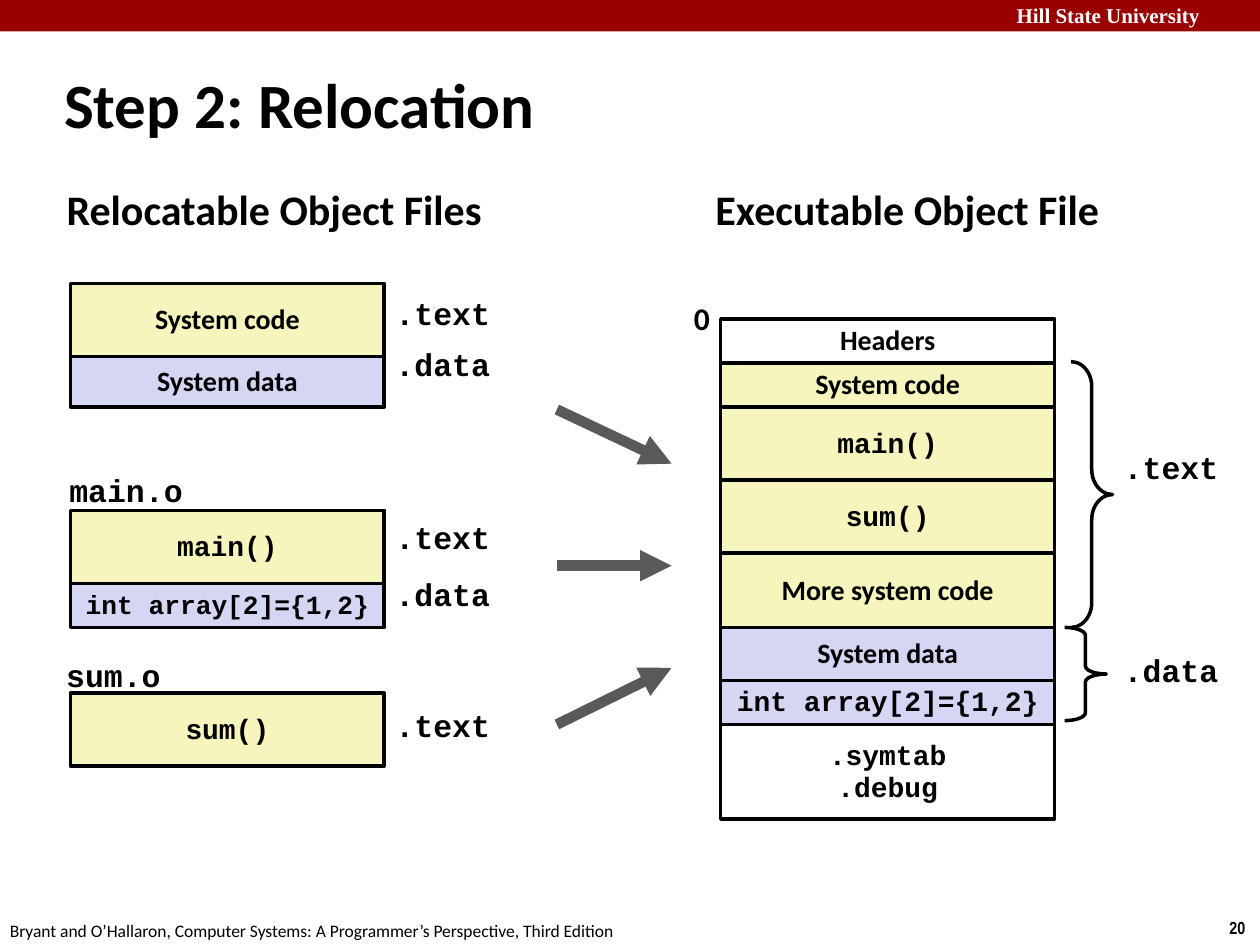
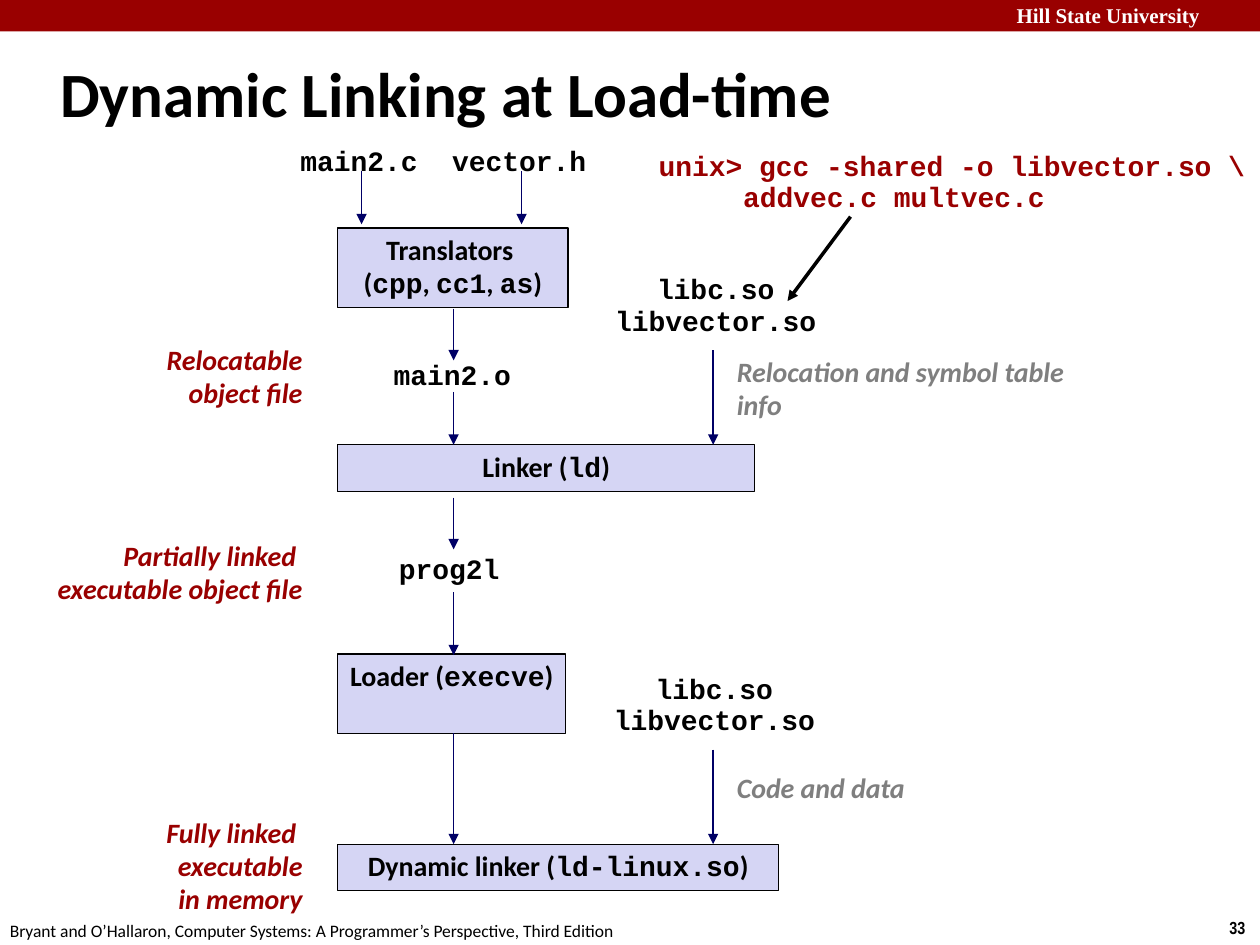
from dataclasses import dataclass

from lxml.etree import SubElement
from pptx import Presentation
from pptx.dml.color import RGBColor
from pptx.enum.shapes import MSO_CONNECTOR, MSO_SHAPE
from pptx.enum.text import MSO_ANCHOR, PP_ALIGN
from pptx.oxml.ns import qn
from pptx.util import Inches, Pt

BLACK, WHITE, RED = "000000", "FFFFFF", "990000"
CODE_FILL, DATA_FILL = "F6F5BD", "D5D5F4"
NAVY, DARK_GREY, GREY = "000066", "595959", "7F7F7F"
SANS, MONO = "Calibri", "Courier New"
LEFT, CENTER, RIGHT = PP_ALIGN.LEFT, PP_ALIGN.CENTER, PP_ALIGN.RIGHT
# Label insets leave slack on the sides that do not fix the text position.
SIDE_INSETS = {LEFT: (0.1, 0), CENTER: (0.05, 0.05), RIGHT: (0, 0.1)}


@dataclass
class Label:
    """Free text; parts between backticks are set in the code font."""
    x: float
    y: float
    w: float
    text: str
    size: float = 16
    align: PP_ALIGN = LEFT
    color: str = BLACK
    bold: bool = True
    italic: bool = False
    font: str = SANS
    rows: int = 1
    hang: float = 0


@dataclass
class Box:
    """Outlined rectangle with centred text."""
    x: float
    y: float
    w: float
    h: float
    text: str
    fill: str = DATA_FILL
    size: float = 16
    line: float = 0.75
    anchor: MSO_ANCHOR = MSO_ANCHOR.TOP


@dataclass
class Row:
    """One section of an object file."""
    h: float
    text: str
    fill: str
    size: float = 16


@dataclass
class Arrow:
    """Straight arrow between two points."""
    x1: float
    y1: float
    x2: float
    y2: float
    color: str = NAVY
    width: float = 0.75


def rgb(value: str) -> RGBColor:
    """Turn a hex string into a colour."""
    return RGBColor.from_string(value)


def write(tf, text: str, size: float, align=LEFT, color=BLACK, bold=True,
          italic=False, font=SANS, hang=0.0) -> None:
    """Fill a text frame, one paragraph per line, switching font at backticks."""
    tf.word_wrap = True
    for i, line in enumerate(text.split("\n")):
        p = tf.paragraphs[0] if i == 0 else tf.add_paragraph()
        p.alignment = align
        if size >= 15 and size != 36:
            p.line_spacing = 0.94 if line.startswith("`") else 0.98
        if hang and i:
            p._p.get_or_add_pPr().set("marL", str(Inches(hang)))
        for j, part in enumerate(line.split("`")):
            if part:
                r = p.add_run()
                r.text = part
                r.font.name = MONO if j % 2 else font
                r.font.size = Pt(size)
                r.font.bold, r.font.italic = bold, italic
                r.font.color.rgb = rgb(color)


def add_label(s, item: Label) -> None:
    """Add a text box whose height follows its line count."""
    rows = max(item.rows, item.text.count("\n") + 1)
    height = 0.1 + rows * item.size / 60
    tf = s.shapes.add_textbox(Inches(item.x), Inches(item.y),
                              Inches(item.w), Inches(height)).text_frame
    left, right = SIDE_INSETS[item.align]
    tf.margin_left, tf.margin_right = Inches(left), Inches(right)
    write(tf, item.text, item.size, item.align, item.color, item.bold,
          item.italic, item.font, item.hang)


def add_preset(s, kind, x: float, y: float, w: float, h: float):
    """Add a preset shape without shadow."""
    sp = s.shapes.add_shape(kind, Inches(x), Inches(y), Inches(w), Inches(h))
    sp.shadow.inherit = False
    return sp


def add_box(s, item: Box) -> None:
    """Add an outlined, filled box with text."""
    sp = add_preset(s, MSO_SHAPE.RECTANGLE, item.x, item.y, item.w, item.h)
    sp.fill.solid()
    sp.fill.fore_color.rgb = rgb(item.fill)
    sp.line.color.rgb = rgb(BLACK)
    sp.line.width = Pt(item.line)
    tf = sp.text_frame
    tf.vertical_anchor = item.anchor
    tf.margin_left = tf.margin_right = Inches(0.05)
    write(tf, item.text, item.size, CENTER)


def add_stack(s, x: float, y: float, w: float, rows: list[Row]) -> None:
    """Stack the sections of an object file downwards from y."""
    for row in rows:
        add_box(s, Box(x, y, w, row.h, row.text, row.fill, row.size, 2,
                       MSO_ANCHOR.MIDDLE))
        y += row.h


def add_brace(s, x: float, y: float, h: float, curve: float) -> None:
    """Add a right brace that spans a group of sections."""
    sp = add_preset(s, MSO_SHAPE.RIGHT_BRACE, x, y, 0.33, h)
    sp.adjustments[0], sp.adjustments[1] = curve, 0.5
    sp.fill.background()
    sp.line.color.rgb = rgb(BLACK)
    sp.line.width = Pt(2)


def add_arrow(s, item: Arrow) -> None:
    """Add a connector with a triangle at its end."""
    c = s.shapes.add_connector(MSO_CONNECTOR.STRAIGHT, Inches(item.x1),
                               Inches(item.y1), Inches(item.x2), Inches(item.y2))
    c.line.color.rgb = rgb(item.color)
    c.line.width = Pt(item.width)
    SubElement(c.line._get_or_add_ln(), qn("a:tailEnd"), type="triangle")
    SubElement(c._element.spPr, qn("a:effectLst"))


def new_slide(prs, title: Label, number: int):
    """Add a slide with the band, footer, page number and title."""
    s = prs.slides.add_slide(prs.slide_layouts[6])
    band = add_preset(s, MSO_SHAPE.RECTANGLE, 0, 0, 10, 0.25)
    band.fill.solid()
    band.fill.fore_color.rgb = rgb(RED)
    band.line.fill.background()
    for item in (
        Label(7.97, -0.03, 2.03, "Hill State University", 12, color=WHITE,
              font="Times New Roman"),
        Label(9.66, 7.23, 0.34, str(number), 10, font="Arial Narrow"),
        Label(-0.02, 7.25, 5.08, "Bryant and O’Hallaron, Computer Systems: "
              "A Programmer’s Perspective, Third Edition", 10, bold=False),
        title,
    ):
        add_label(s, item)
    return s


def relocation_slide(prs) -> None:
    """Sections of the object files merged into one executable."""
    s = new_slide(prs, Label(0.41, 0.47, 8.31, "Step 2: Relocation", 36), 20)
    system_code = "System code"
    main, total = Row(0.58, "`main()`", CODE_FILL), Row(0.58, "`sum()`", CODE_FILL)
    system_data = Row(0.4, "System data", DATA_FILL)
    array = "`int array[2]={1,2}`"

    add_stack(s, 0.56, 2.25, 2.49, [Row(0.58, system_code, CODE_FILL), system_data])
    add_stack(s, 0.56, 4.05, 2.49, [main, Row(0.35, array, DATA_FILL, 15)])
    add_stack(s, 0.56, 5.5, 2.49, [total])
    add_stack(s, 5.72, 2.53, 2.65, [
        Row(0.35, "Headers", WHITE),
        Row(0.35, system_code, CODE_FILL),
        main, total,
        Row(0.59, "More system code", CODE_FILL),
        Row(0.42, system_data.text, DATA_FILL),
        Row(0.35, array, DATA_FILL),
        Row(0.75, "`.symtab`\n`.debug`", WHITE),
    ])

    for x, w, heading in ((0.43, 3.53, "Relocatable Object Files"),
                          (5.58, 3.28, "Executable Object File")):
        add_label(s, Label(x, 1.43, w, heading, 24))
    add_label(s, Label(5.41, 2.34, 0.34, "0", 18))
    add_label(s, Label(0.45, 3.71, 1.1, "`main.o`", 18, CENTER))
    add_label(s, Label(0.42, 5.18, 0.96, "`sum.o`", 18, CENTER))
    for x, y, name in ((3.04, 2.31, "text"), (3.04, 2.71, "data"),
                       (3.04, 4.09, "text"), (3.04, 4.54, "data"),
                       (3.04, 5.58, "text"),
                       (8.82, 3.53, "text"), (8.82, 5.14, "data")):
        add_label(s, Label(x, y, 0.95, f"`.{name}`", 18))

    add_brace(s, 8.5, 2.87, 2.11, 0.6)
    add_brace(s, 8.45, 4.98, 0.74, 0.19)
    for y1, y2 in ((3.25, 3.68), (4.49, 4.49), (5.75, 5.3)):
        add_arrow(s, Arrow(4.42, y1, 5.33, y2, DARK_GREY, 6))


def dynamic_linking_slide(prs) -> None:
    """Tool chain from the sources to the program in memory."""
    s = new_slide(prs, Label(0.38, 0.38, 9.53, "Dynamic Linking at Load-time", 36), 33)
    box_x, flow_x, library_x = 2.68, 3.6, 5.66

    for y, w, h, text in (
        (1.81, 1.83, 0.63, "Translators \n(`cpp`, `cc1`, `as`)"),
        (3.53, 3.31, 0.37, "Linker (`ld`)"),
        (5.19, 1.81, 0.63, "Loader (`execve`)"),
        (6.7, 3.5, 0.37, "Dynamic linker (`ld-linux.so`)"),
    ):
        add_box(s, Box(box_x, y, w, h, text))

    libraries = "`libc.so`\n`libvector.so`"
    for x, y, w, text in (
        (2.28, 1.11, 1.14, "`main2.c`"),
        (3.48, 1.11, 1.28, "`vector.h`"),
        (3.02, 2.81, 1.14, "`main2.o`"),
        (3.06, 4.35, 1.01, "`prog2l`"),
        (4.77, 2.13, 1.82, libraries),
        (4.76, 5.3, 1.82, libraries),
    ):
        add_label(s, Label(x, y, w, text, align=CENTER))

    for y, w, text in (
        (2.68, 1.5, "Relocatable\nobject file"),
        (4.24, 2.2, "Partially linked \nexecutable object file"),
        (6.44, 1.92, "Fully linked \nexecutable\nin memory"),
    ):
        add_label(s, Label(2.5 - w, y, w, text, align=RIGHT, color=RED, italic=True))

    for y, w, text, rows in ((2.78, 2.85, "Relocation and symbol table info", 2),
                             (6.08, 1.94, "Code and data", 1)):
        add_label(s, Label(5.75, y, w, text, color=GREY, italic=True, rows=rows))

    add_label(s, Label(5.13, 1.15, 4.87, "`unix> gcc -shared -o libvector.so \\`\n"
                       "`addvec.c multvec.c`", color=RED, hang=0.67))

    for x, y1, y2 in (
        (2.87, 1.36, 1.78), (4.14, 1.36, 1.78),
        (flow_x, 2.45, 2.86), (flow_x, 3.11, 3.53), (flow_x, 3.95, 4.36),
        (flow_x, 4.7, 5.2), (flow_x, 5.82, 6.7),
        (library_x, 2.78, 3.53), (library_x, 5.95, 6.7),
    ):
        add_arrow(s, Arrow(x, y1, x, y2))
    add_arrow(s, Arrow(6.75, 1.72, 6.25, 2.39, BLACK, 2))


prs = Presentation()
prs.slide_width, prs.slide_height = Inches(10), Inches(7.5)
relocation_slide(prs)
dynamic_linking_slide(prs)
prs.save("out.pptx")
